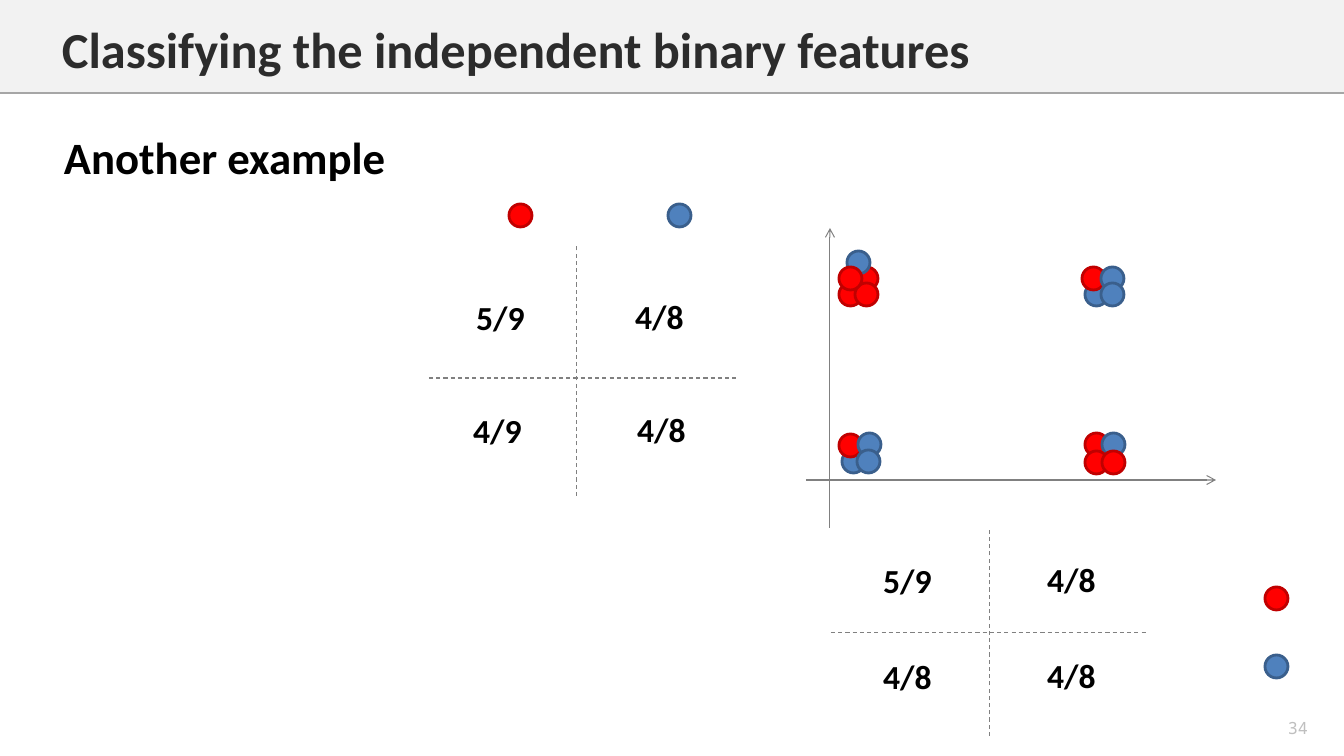
from lxml.etree import SubElement
from pptx import Presentation
from pptx.dml.color import RGBColor
from pptx.enum.dml import MSO_LINE
from pptx.enum.shapes import MSO_CONNECTOR, MSO_SHAPE
from pptx.enum.text import MSO_ANCHOR, PP_ALIGN
from pptx.oxml.ns import qn
from pptx.util import Pt

EMU_PER_PX = 914400 / 100.8
WIDTH, HEIGHT, HEADER_HEIGHT = 1344, 756, 93
DOT_SIZE = 23
FRACTION_SIZE = (85, 55)

TITLE = "Classifying the independent binary features"
SUBTITLE = "Another example"
PAGE_NUMBER = "34"

# Fill and outline of each class
CLASS_COLORS = {"red": ("FF0000", "C00000"), "blue": ("4F81BD", "3A5F8C")}

# Start and end of each line
AXES = [(806, 480, 1216, 480), (830, 528, 830, 228)]
DIVIDERS = [
    (831, 633, 1148, 633), (990, 736, 990, 529),
    (429, 378, 738, 378), (577, 496, 577, 244),
]

# Left and top of each fraction
FRACTIONS = [
    ("5/9", 865, 553), ("4/8", 1029, 552),
    ("4/8", 865, 649), ("4/8", 1029, 648),
    ("5/9", 458, 290), ("4/8", 617, 289),
    ("4/9", 455, 403), ("4/8", 619, 402),
]

# Left and top of each dot, back to front
DOTS = {
    "vertical key": [("red", 1265, 587), ("blue", 1265, 655)],
    "horizontal key": [("red", 509, 204), ("blue", 668, 204)],
    "upper left": [
        ("red", 855, 267), ("blue", 847, 251), ("red", 839, 283),
        ("red", 855, 283), ("red", 839, 267),
    ],
    "upper right": [
        ("blue", 1085, 283), ("red", 1082, 267),
        ("blue", 1101, 267), ("blue", 1101, 283),
    ],
    "lower left": [
        ("blue", 842, 450), ("red", 839, 434),
        ("blue", 858, 433), ("blue", 857, 450),
    ],
    "lower right": [
        ("red", 1085, 433), ("blue", 1102, 433),
        ("red", 1085, 451), ("red", 1102, 451),
    ],
}


def px(*lengths):
    """Turn pixel lengths into EMU."""
    return [round(length * EMU_PER_PX) for length in lengths]


def color(value):
    return RGBColor.from_string(value)


def add_line(page, ends, line_color="808080", width=0.75, dashed=False, arrow=False):
    line = page.shapes.add_connector(MSO_CONNECTOR.STRAIGHT, *px(*ends))
    line.line.color.rgb = color(line_color)
    line.line.width = Pt(width)
    if dashed:
        line.line.dash_style = MSO_LINE.DASH
    properties = line._element.spPr
    if arrow:
        SubElement(properties.find(qn("a:ln")), qn("a:tailEnd"), type="arrow")
    SubElement(properties, qn("a:effectLst"))


def add_shape(page, kind, place, fill, outline=None):
    shape = page.shapes.add_shape(kind, *px(*place))
    shape.shadow.inherit = False
    shape.fill.solid()
    shape.fill.fore_color.rgb = color(fill)
    if outline:
        shape.line.color.rgb = color(outline)
        shape.line.width = Pt(2)
    else:
        shape.line.fill.background()


def add_text(page, text, place, size, font="Calibri", text_color="000000", bold=True,
             align=PP_ALIGN.LEFT, anchor=MSO_ANCHOR.TOP):
    frame = page.shapes.add_textbox(*px(*place)).text_frame
    frame.word_wrap = True
    frame.vertical_anchor = anchor
    para = frame.paragraphs[0]
    para.alignment = align
    span = para.add_run()
    span.text = text
    span.font.name = font
    span.font.size = Pt(size)
    span.font.bold = bold
    span.font.color.rgb = color(text_color)


def main():
    deck = Presentation()
    deck.slide_width, deck.slide_height = px(WIDTH, HEIGHT)
    page = deck.slides.add_slide(deck.slide_layouts[6])
    centered = {"align": PP_ALIGN.CENTER, "anchor": MSO_ANCHOR.MIDDLE}

    add_shape(page, MSO_SHAPE.RECTANGLE, (0, 0, WIDTH, HEADER_HEIGHT), "F2F2F2")
    add_line(page, (0, HEADER_HEIGHT, WIDTH, HEADER_HEIGHT), line_color="A6A6A6", width=1)
    add_text(page, PAGE_NUMBER, (1254, 712, 88, 31), 12, font="Noto Sans Mono",
             text_color="BFBFBF", bold=False, **centered)

    for ends in AXES:
        add_line(page, ends, arrow=True)
    for ends in DIVIDERS:
        add_line(page, ends, dashed=True)
    for text, left, top in FRACTIONS:
        add_text(page, text, (left, top, *FRACTION_SIZE), 24, **centered)
    for group in DOTS.values():
        for name, left, top in group:
            add_shape(page, MSO_SHAPE.FLOWCHART_CONNECTOR,
                      (left, top, DOT_SIZE, DOT_SIZE), *CLASS_COLORS[name])

    add_text(page, TITLE, (52, 13, 1199, 72), 36, text_color="2C2C2C")
    add_text(page, SUBTITLE, (54, 125, 688, 65), 32)
    deck.save("out.pptx")


if __name__ == "__main__":
    main()
